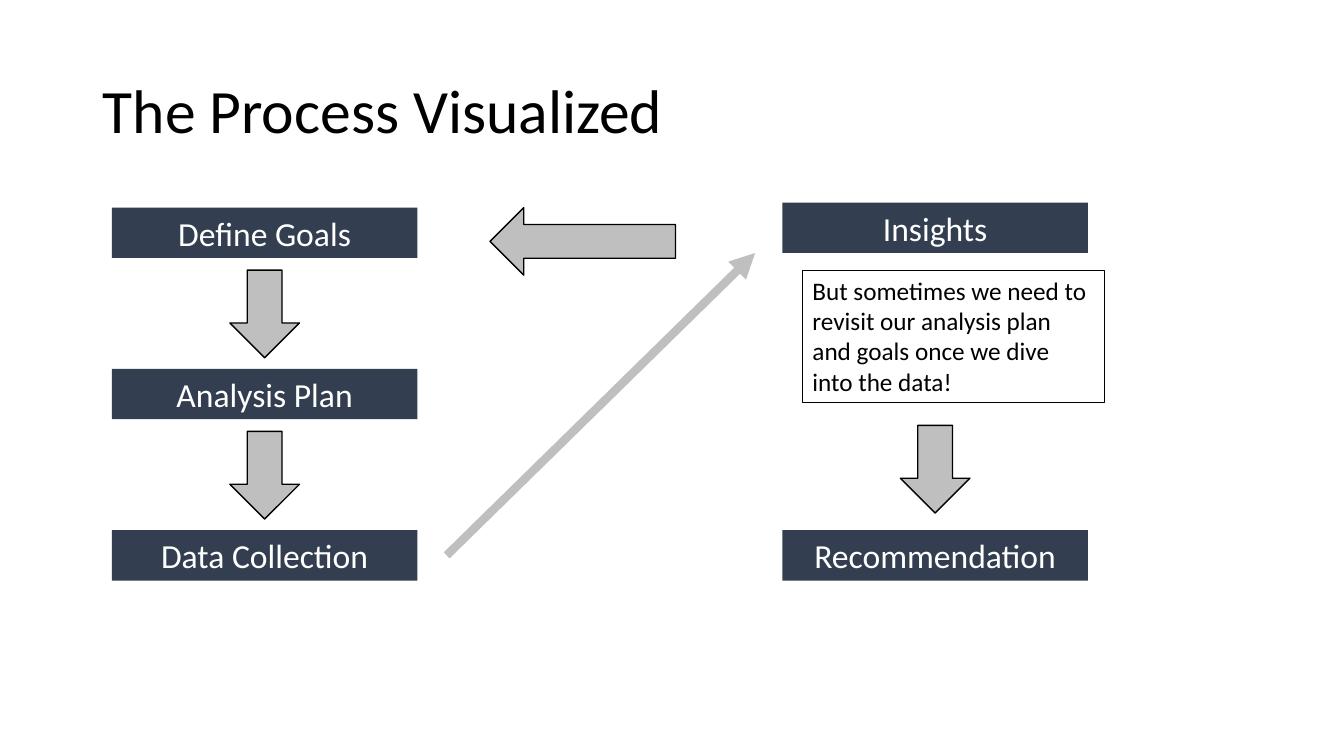
from lxml import etree
from pptx import Presentation
from pptx import util as u
from pptx.dml import color
from pptx.enum import shapes, text
from pptx.oxml import ns

FONT = "Calibri"
NAVY, GRAY, BLACK, WHITE = "333F50", "BFBFBF", "000000", "FFFFFF"
STEP_WIDTH, STEP_HEIGHT = 3.03, 0.5
ARROW_WIDTH, ARROW_HEIGHT = 0.69, 0.87
KINDS = shapes.MSO_SHAPE


def paint(target, hex_color):
    target.solid()
    target.fore_color.rgb = color.RGBColor.from_string(hex_color)


def inches(*lengths):
    return [u.Inches(length) for length in lengths]


def add_box(page, kind, box, fill=None, line=None, weight=1):
    shape = page.shapes.add_shape(kind, *inches(*box))
    shape.shadow.inherit = False
    if fill:
        paint(shape.fill, fill)
    else:
        shape.fill.background()
    if line:
        paint(shape.line.fill, line)
        shape.line.width = u.Pt(weight)
    else:
        shape.line.fill.background()
    return shape


def write(shape, words, size, hex_color, align, anchor):
    frame = shape.text_frame
    frame.word_wrap = True
    frame.auto_size = text.MSO_AUTO_SIZE.NONE
    frame.vertical_anchor = anchor
    para = frame.paragraphs[0]
    para.text = words
    para.alignment = align
    para.font.name = FONT
    para.font.size = u.Pt(size)
    paint(para.font.fill, hex_color)
    return para


def add_title(page, box, words):
    title = page.shapes.title
    title.left, title.top, title.width, title.height = inches(*box)
    para = write(title, words, 44, BLACK, text.PP_ALIGN.LEFT, text.MSO_ANCHOR.MIDDLE)
    para.line_spacing = 0.9


def add_steps(page, left, steps, arrow_tops):
    for top, words in steps:
        step = add_box(page, KINDS.RECTANGLE, (left, top, STEP_WIDTH, STEP_HEIGHT), NAVY)
        write(step, words, 24, WHITE, text.PP_ALIGN.CENTER, text.MSO_ANCHOR.TOP)
    arrow_left = left + (STEP_WIDTH - ARROW_WIDTH) / 2
    for top in arrow_tops:
        box = (arrow_left, top, ARROW_WIDTH, ARROW_HEIGHT)
        add_box(page, KINDS.DOWN_ARROW, box, GRAY, BLACK)


def add_note(page, box, words):
    note = add_box(page, KINDS.RECTANGLE, box, line=BLACK, weight=0.75)
    write(note, words, 18, BLACK, text.PP_ALIGN.LEFT, text.MSO_ANCHOR.TOP)


def add_link(page, start, end):
    link = page.shapes.add_connector(
        shapes.MSO_CONNECTOR.STRAIGHT, *inches(*start, *end))
    paint(link.line.fill, GRAY)
    link.line.width = u.Pt(6)
    outline = link.line._get_or_add_ln()
    etree.SubElement(outline, ns.qn("a:tailEnd"), type="triangle")
    etree.SubElement(link._element.spPr, ns.qn("a:effectLst"))


def build_process(page):
    add_title(page, (0.92, 0.4, 11.5, 1.45), "The Process Visualized")
    first_top, pitch = 2.06, 1.6
    names = ("Define Goals", "Analysis Plan", "Data Collection")
    tops = [first_top + pitch * row for row in range(len(names))]
    add_steps(page, 1.11, zip(tops, names), [top + 0.62 for top in tops[:-1]])
    add_steps(page, 7.76, ((2.01, "Insights"), (tops[-1], "Recommendation")), [4.22])
    add_link(page, (4.43, 5.51), (7.49, 2.51))
    add_note(page, (7.96, 2.68, 3, 1.31),
             "But sometimes we need to revisit our analysis plan and goals "
             "once we dive into the data!")
    add_box(page, KINDS.LEFT_ARROW, (4.86, first_top, 1.84, 0.67), GRAY, BLACK)


deck = Presentation()
deck.slide_width, deck.slide_height = inches(13.33, 7.5)
page = deck.slides.add_slide(deck.slide_layouts.get_by_name("Title Only"))
paint(page.background.fill, WHITE)
build_process(page)
deck.save("out.pptx")
